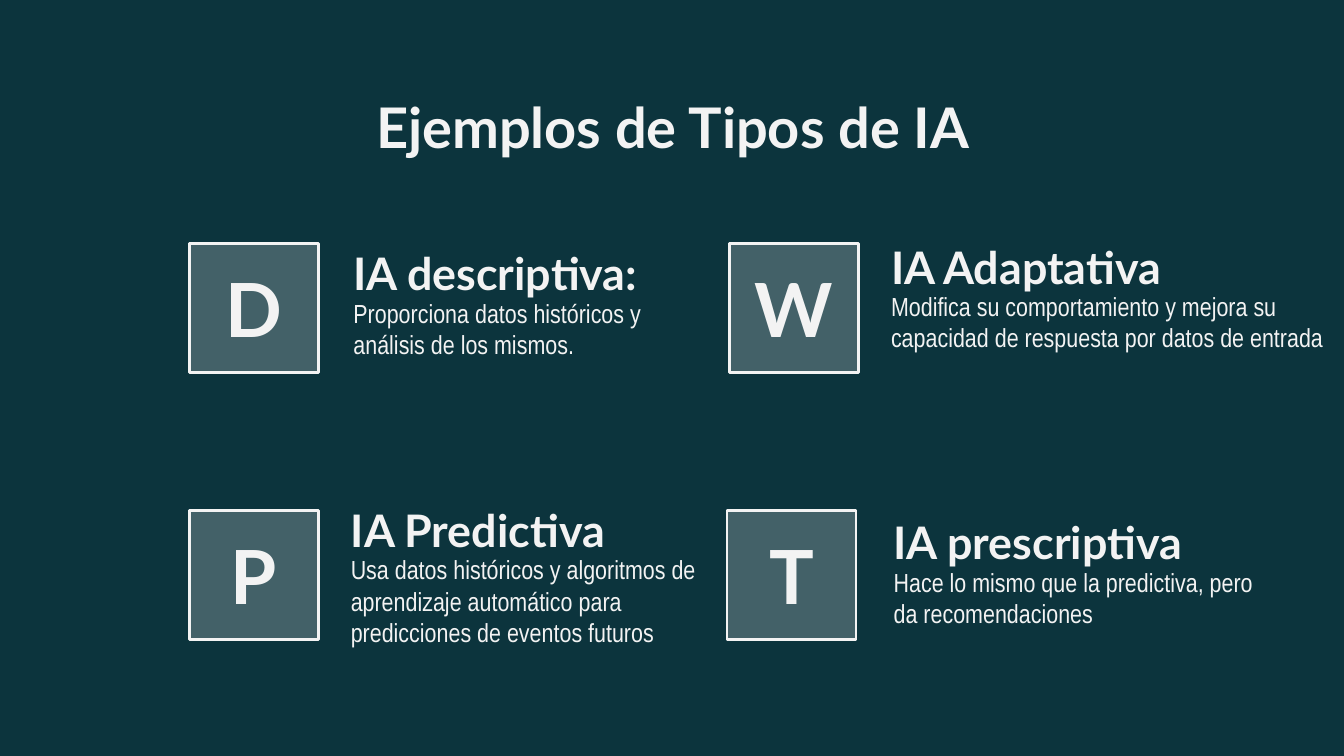
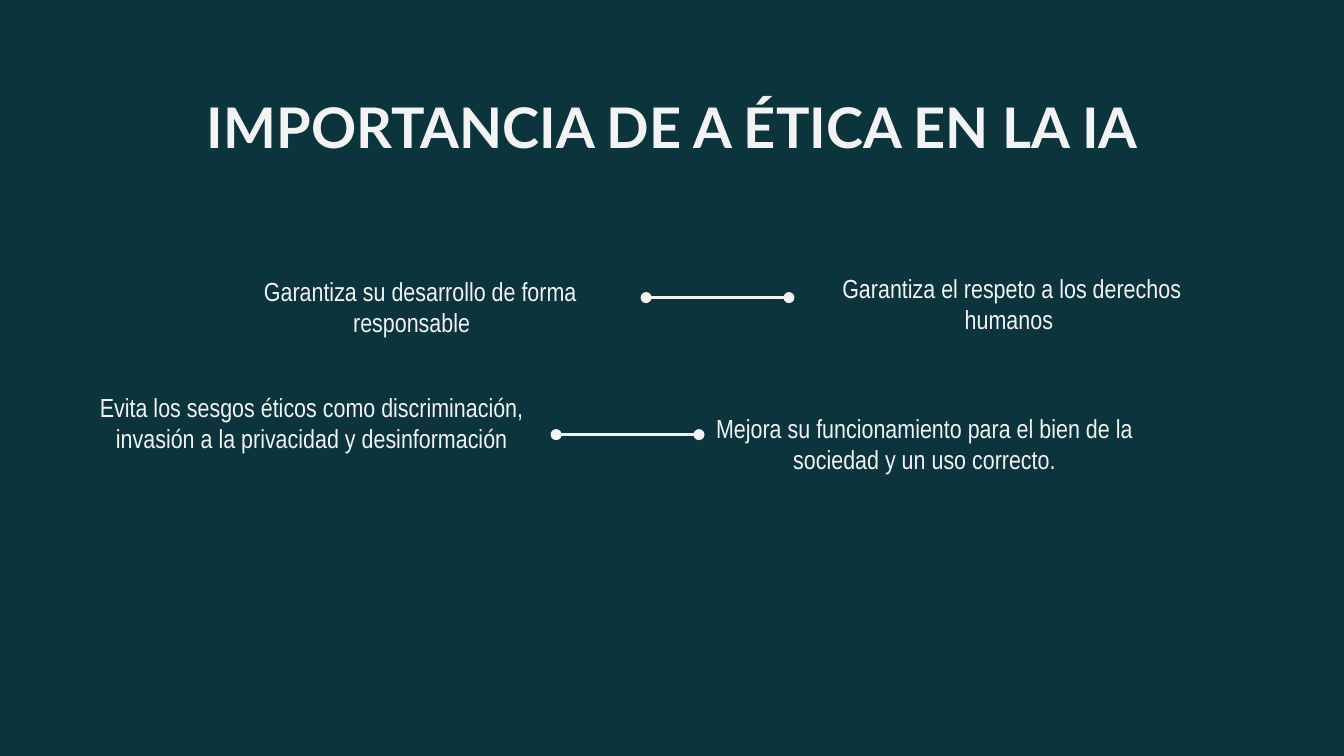
from lxml.etree import SubElement
from pptx import Presentation
from pptx.dml.color import RGBColor
from pptx.enum.shapes import MSO_CONNECTOR, MSO_SHAPE
from pptx.enum.text import MSO_ANCHOR, MSO_AUTO_SIZE, PP_ALIGN
from pptx.oxml.ns import qn
from pptx.util import Cm, Pt

BACKGROUND = "0C343D"
LIGHT = "F3F3F3"
HEADING_FONT = "Lato"
BODY_FONT = "Arial Narrow"
TITLE_ONLY = 5


def rgb(value):
    return RGBColor.from_string(value)


class Deck:
    """Holds the shared style and the slide being built."""

    def __init__(self):
        self.prs = Presentation()
        self.prs.slide_width, self.prs.slide_height = Cm(25.4), Cm(14.29)
        fill = self.prs.slide_master.background.fill
        fill.solid()
        fill.fore_color.rgb = rgb(BACKGROUND)

    def add_slide(self, title):
        self.s = self.prs.slides.add_slide(self.prs.slide_layouts[TITLE_ONLY])
        sp = self.s.shapes.title
        sp.left, sp.top, sp.width, sp.height = Cm(2.01), Cm(1.5), Cm(21.41), Cm(1.6)
        self.style_text(sp, title, 30, bold=True, align=PP_ALIGN.CENTER)

    def style_text(self, sp, text, size, bold=False, align=PP_ALIGN.LEFT, anchor=MSO_ANCHOR.TOP):
        """Fill a shape with text; bold text takes the heading font."""
        tf = sp.text_frame
        tf.text = text
        tf.word_wrap = True
        tf.auto_size = MSO_AUTO_SIZE.NONE
        tf.vertical_anchor = anchor
        tf.margin_left = tf.margin_right = tf.margin_top = tf.margin_bottom = Cm(0.25)
        p = tf.paragraphs[0]
        p.alignment = align
        for r in p.runs:
            r.font.name = HEADING_FONT if bold else BODY_FONT
            r.font.size = Pt(size)
            r.font.bold = bold
            r.font.color.rgb = rgb(LIGHT)

    def letter_tile(self, letter, x, y):
        sp = self.s.shapes.add_shape(MSO_SHAPE.ROUNDED_RECTANGLE, Cm(x), Cm(y), Cm(2.44), Cm(2.44))
        sp.adjustments[0] = 0
        sp.shadow.inherit = False
        sp.fill.solid()
        sp.fill.fore_color.rgb = rgb(LIGHT)
        color = sp.element.spPr.find(qn("a:solidFill")).find(qn("a:srgbClr"))
        SubElement(color, qn("a:alpha"), val="24000")
        sp.line.color.rgb = rgb(LIGHT)
        sp.line.width = Pt(1.5)
        self.style_text(sp, letter, 40, bold=True, align=PP_ALIGN.CENTER, anchor=MSO_ANCHOR.MIDDLE)

    def definition(self, heading, body, x, y, width):
        """Group a heading with the explanation under it."""
        shapes = self.s.shapes.add_group_shape().shapes
        sp = shapes.add_textbox(Cm(x), Cm(y), Cm(5.99), Cm(1.27))
        self.style_text(sp, heading, 24, bold=True, anchor=MSO_ANCHOR.BOTTOM)
        sp = shapes.add_textbox(Cm(x), Cm(y + 0.72), Cm(width), Cm(1.52))
        self.style_text(sp, body, 14)

    def statement(self, text, x, y):
        sp = self.s.shapes.add_textbox(Cm(x), Cm(y), Cm(8.53), Cm(1.35))
        self.style_text(sp, text, 14, align=PP_ALIGN.CENTER)
        return sp

    def dotted_end_line(self, x, y):
        line = self.s.shapes.add_connector(MSO_CONNECTOR.STRAIGHT, Cm(x), y, Cm(x + 2.7), y)
        line.line.color.rgb = rgb(LIGHT)
        line.line.width = Pt(1.5)
        properties = line.element.spPr
        for end in ("a:headEnd", "a:tailEnd"):
            SubElement(properties.find(qn("a:ln")), qn(end), type="oval")
        SubElement(properties, qn("a:effectLst"))
        return line


def add_types_slide(deck):
    deck.add_slide("Ejemplos de Tipos de IA")
    for heading, body, x, y, width in (
        ("IA Adaptativa", "Modifica su comportamiento y mejora su capacidad de respuesta "
         "por datos de entrada", 16.59, 4.52, 8.81),
        ("IA Predictiva", "Usa datos históricos y algoritmos de aprendizaje automático para "
         "predicciones de eventos futuros", 6.38, 9.5, 7.49),
        ("IA prescriptiva", "Hace lo mismo que la predictiva, pero da recomendaciones",
         16.64, 9.73, 7.47),
        ("IA descriptiva:", "Proporciona datos históricos y análisis de los mismos.",
         6.43, 4.65, 6.55),
    ):
        deck.definition(heading, body, x, y, width)
    for letter, x, y in (("D", 3.58, 4.6), ("W", 13.79, 4.6), ("P", 3.58, 9.65), ("T", 13.74, 9.65)):
        deck.letter_tile(letter, x, y)


def add_ethics_slide(deck):
    deck.add_slide("IMPORTANCIA DE A ÉTICA EN LA IA")
    development = deck.statement("Garantiza su desarrollo de forma responsable\t", 3.68, 4.95)
    improvement = deck.statement(
        "Mejora su funcionamiento para el bien de la sociedad y un uso correcto.", 13.21, 7.54)
    line = deck.dotted_end_line(12.21, development.top + development.height // 2)
    line.begin_connect(development, 3)
    line = deck.dotted_end_line(10.51, improvement.top + improvement.height // 2)
    line.end_connect(improvement, 1)
    deck.statement("Garantiza el respeto a los derechos humanos ", 14.86, 4.9)
    deck.statement("Evita los sesgos éticos como discriminación, invasión a la privacidad "
                   "y desinformación", 1.63, 7.14)


def main():
    deck = Deck()
    add_types_slide(deck)
    add_ethics_slide(deck)
    deck.prs.save("out.pptx")


if __name__ == "__main__":
    main()
